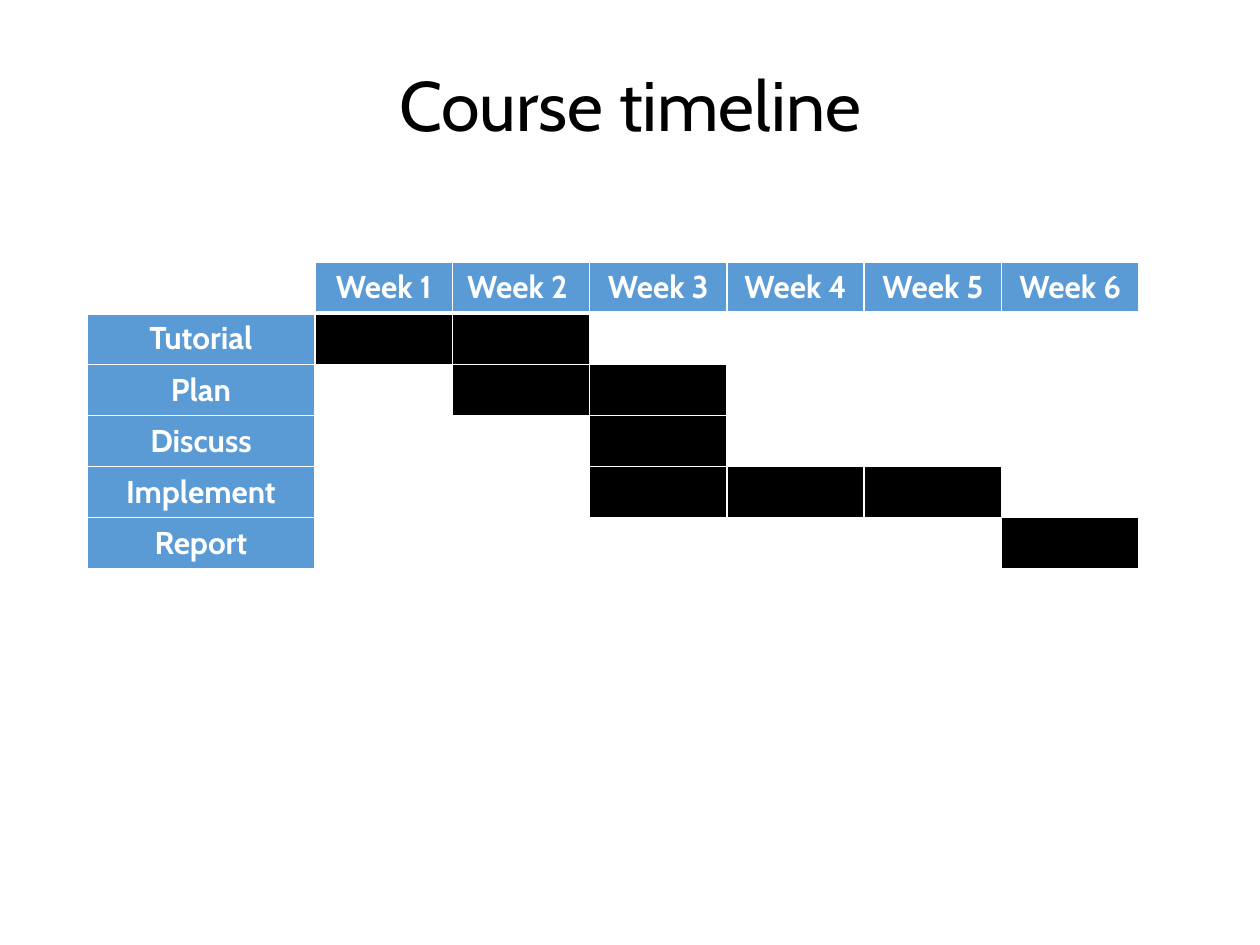
from lxml import etree
from pptx import Presentation
from pptx.dml.color import RGBColor
from pptx.enum import text
from pptx.oxml import ns
from pptx.util import Inches, Pt

FONT = "Cabin"
BLACK = RGBColor(0x00, 0x00, 0x00)
WHITE = RGBColor(0xFF, 0xFF, 0xFF)
BLUE = RGBColor(0x5B, 0x9B, 0xD5)

WEEKS = ["Week 1", "Week 2 ", "Week 3", "Week 4", "Week 5", "Week 6"]
# Each task with the weeks it is active
TASKS = [
    ("Tutorial", [1, 2]),
    ("Plan", [2, 3]),
    ("Discuss", [3]),
    ("Implement", [3, 4, 5]),
    ("Report", [6]),
]


def set_border(cell, side, width, color):
    ln = etree.SubElement(cell._tc.get_or_add_tcPr(), ns.qn(f"a:ln{side}"), w=str(Pt(width)))
    fill = etree.SubElement(ln, ns.qn("a:solidFill"))
    etree.SubElement(fill, ns.qn("a:srgbClr"), val=str(color))


def add_text(p, words, size, color, bold=False):
    p.alignment = text.PP_ALIGN.CENTER
    r = p.add_run()
    r.text = words
    r.font.name = FONT
    r.font.size = Pt(size)
    r.font.bold = bold
    r.font.color.rgb = color


prs = Presentation()
prs.slide_width, prs.slide_height = Inches(10), Inches(7.5)
s = prs.slides.add_slide(prs.slide_layouts[5])

# Title
title = s.shapes.title
title.left, title.top = Inches(0.69), Inches(0.4)
title.width, title.height = Inches(8.62), Inches(0.92)
tf = title.text_frame
tf.vertical_anchor = text.MSO_ANCHOR.MIDDLE
p = tf.paragraphs[0]
p.line_spacing = 0.9
add_text(p, "Course timeline", 40, BLACK)

# Timeline table
n_rows, n_cols = len(TASKS) + 1, len(WEEKS) + 1
table = s.shapes.add_table(n_rows, n_cols, Inches(0.69), Inches(2.08),
                           Inches(8.36), Inches(2.43)).table
for col in table.columns:
    col.width = Inches(1.09)
table.columns[0].width = Inches(1.81)

# Header labels, task labels and active weeks
labels = {(0, week): name for week, name in enumerate(WEEKS, 1)}
labels.update({(row, 0): name for row, (name, _) in enumerate(TASKS, 1)})
active = {(row, week) for row, (_, weeks) in enumerate(TASKS, 1) for week in weeks}

for row in range(n_rows):
    for col in range(n_cols):
        cell = table.cell(row, col)
        for side in "LRTB":
            heavy = (row, side) in [(0, "B"), (1, "T")]
            set_border(cell, side, 3 if heavy else 1, WHITE)
        p = cell.text_frame.paragraphs[0]
        if (row, col) in labels:
            cell.fill.solid()
            cell.fill.fore_color.rgb = BLUE
            add_text(p, labels[row, col], 18, WHITE, bold=True)
        elif (row, col) in active:
            cell.fill.solid()
            cell.fill.fore_color.rgb = BLACK
        else:
            cell.fill.background()

prs.save("out.pptx")
